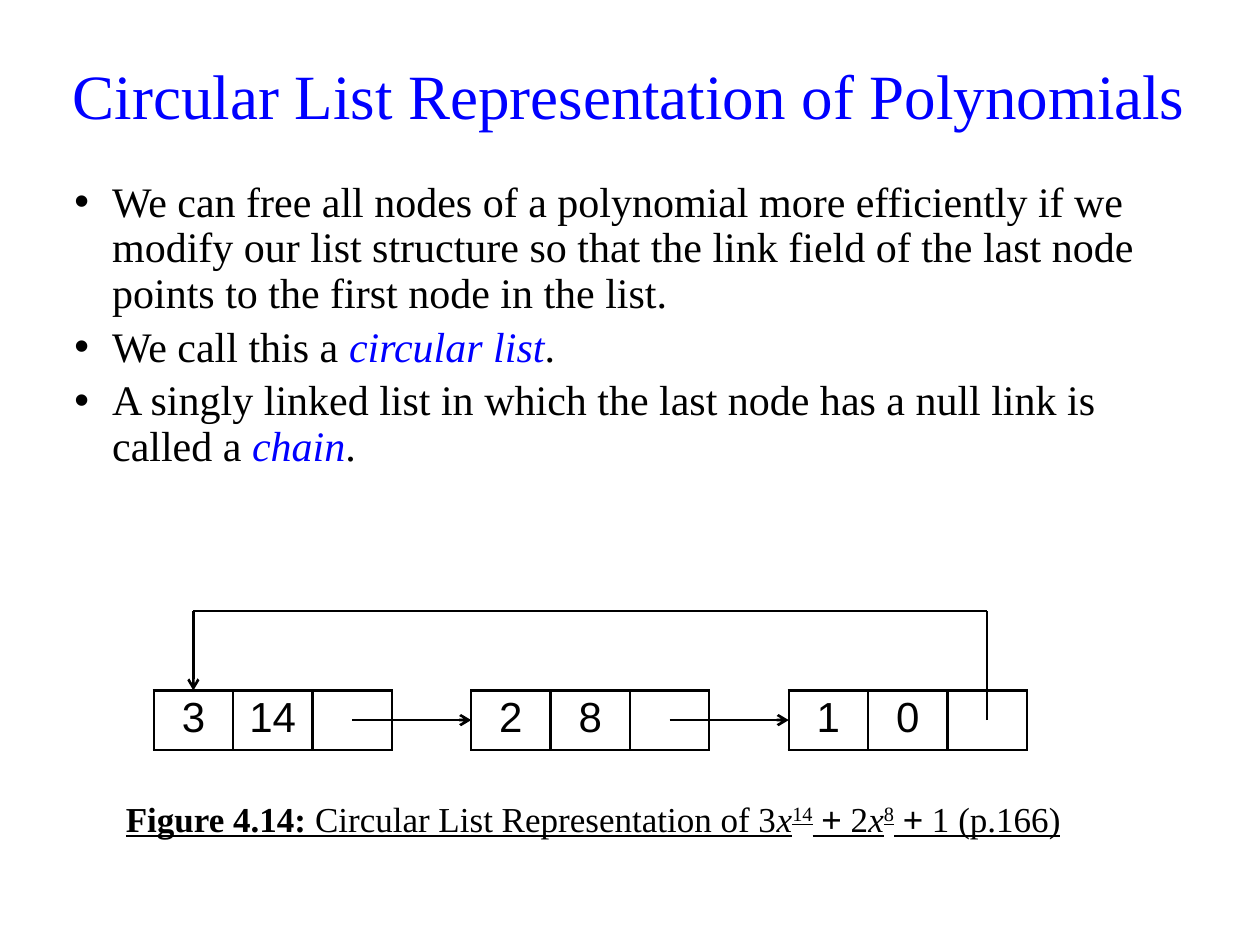
import pptx
import pptx.util
import pptx.dml.color
import pptx.enum.shapes
import pptx.enum.text
import pptx.oxml.ns
from dataclasses import dataclass
from lxml import etree

Inches, Pt = pptx.util.Inches, pptx.util.Pt
qn = pptx.oxml.ns.qn
ALIGN = pptx.enum.text.PP_ALIGN
ANCHOR = pptx.enum.text.MSO_ANCHOR


@dataclass(frozen=True)
class Theme:
    """Hold the colours, fonts and type sizes of the slide."""
    ink: str = "000000"
    accent: str = "0000FF"
    serif: str = "Times New Roman"
    sans: str = "Arial"
    title: int = 36
    body: int = 24
    caption: int = 20
    line: float = 1.5


THEME = Theme()
TITLE = "Circular List Representation of Polynomials"
ACCENT = {"color": THEME.accent, "italic": True}
BULLETS = [
    [("We can free all nodes of a polynomial more efficiently if we modify our "
      "list structure so that the link field of the last node points to the "
      "first node in the list.", {})],
    [("We call this a ", {}), ("circular list", ACCENT), (".", {})],
    [("A singly linked list in which the last node has a null link is called a ", {}),
     ("chain", ACCENT), (".", {})],
]
VARIABLE = ("x", {"italic": True})
PLUS = ("+", {"name": THEME.sans})
CAPTION = [
    ("Figure 4.14:", {"bold": True}), (" Circular List Representation of 3", {}),
    VARIABLE, ("14", {"raised": True}), (" ", {}), PLUS, (" 2", {}),
    VARIABLE, ("8", {"raised": True}), (" ", {}), PLUS, (" 1 (p.166)", {}),
]
TERMS = [(3, 14), (2, 8), (1, 0)]
FIELDS = 3
STEP = FIELDS + 1


def style(font, size, name=THEME.serif, color=THEME.ink, bold=False,
          italic=False, underline=False, raised=False):
    """Format one font."""
    font.size, font.name = Pt(size), name
    font.bold, font.italic, font.underline = bold, italic, underline
    font.color.rgb = pptx.dml.color.RGBColor.from_string(color)
    if raised:
        font._element.set("baseline", "30000")


def add_runs(p, parts, size, **common):
    """Add formatted runs to a paragraph."""
    for text, look in parts:
        r = p.add_run()
        r.text = text
        style(r.font, size, **common, **look)


def add_text_box(s, box):
    """Add a wrapping text box and return its text frame."""
    tf = s.shapes.add_textbox(*map(Inches, box)).text_frame
    tf.word_wrap = True
    return tf


def add_title(s, box):
    """Place and format the title."""
    sp = s.shapes.title
    sp.left, sp.top, sp.width, sp.height = map(Inches, box)
    tf = sp.text_frame
    tf.text = TITLE
    tf.auto_size = pptx.enum.text.MSO_AUTO_SIZE.NONE
    tf.vertical_anchor = ANCHOR.MIDDLE
    p = tf.paragraphs[0]
    p.alignment = ALIGN.CENTER
    style(p.runs[0].font, THEME.title, color=THEME.accent)


def add_bullets(s, box):
    """Add the bulleted statements."""
    tf = add_text_box(s, box)
    tf.margin_left = tf.margin_right = 0
    for i, parts in enumerate(BULLETS):
        p = tf.add_paragraph() if i else tf.paragraphs[0]
        p.line_spacing = 0.9
        p.space_before = Pt(0.2 * THEME.body if i else 0)
        pPr = p._p.get_or_add_pPr()
        pPr.set("marL", str(Inches(0.3)))
        pPr.set("indent", str(-Inches(0.3)))
        etree.SubElement(pPr, qn("a:buFont"), typeface=THEME.sans)
        etree.SubElement(pPr, qn("a:buChar"), char="•")
        add_runs(p, parts, THEME.body)


def add_caption(s, box):
    """Add the underlined figure caption."""
    tf = add_text_box(s, box)
    add_runs(tf.paragraphs[0], CAPTION, THEME.caption, underline=True)


def set_borders(cell, visible):
    """Draw the visible sides of a cell and clear the others."""
    tcPr = cell._tc.get_or_add_tcPr()
    for i, side in enumerate("LRTB"):
        ln = etree.Element(qn(f"a:ln{side}"), w=str(Pt(THEME.line)))
        if side in visible:
            fill = etree.SubElement(ln, qn("a:solidFill"))
            etree.SubElement(fill, qn("a:srgbClr"), val=THEME.ink)
        else:
            etree.SubElement(ln, qn("a:noFill"))
        tcPr.insert(i, ln)


def add_nodes(s, box):
    """Add the row of list nodes, with open cells between them."""
    count = STEP * len(TERMS) - 1
    table = s.shapes.add_table(1, count, *map(Inches, box)).table
    table.first_row = table.horz_banding = False
    for i, cell in enumerate(table.rows[0].cells):
        table.columns[i].width = Inches(box[2] / count)
        node, field = divmod(i, STEP)
        cell.fill.background()
        set_borders(cell, "LRTB" if field < FIELDS else "LR")
        cell.vertical_anchor = ANCHOR.MIDDLE
        cell.margin_top, cell.margin_bottom = 0, Inches(0.04)
        if field < len(TERMS[node]):
            p = cell.text_frame.paragraphs[0]
            p.text = str(TERMS[node][field])
            p.alignment = ALIGN.CENTER
            style(p.runs[0].font, THEME.body, name=THEME.sans)


def add_link(s, start, end, arrow=True):
    """Add a straight link between two points."""
    straight = pptx.enum.shapes.MSO_CONNECTOR.STRAIGHT
    sp = s.shapes.add_connector(straight, *map(Inches, start + end))
    sp.line.color.rgb = pptx.dml.color.RGBColor.from_string(THEME.ink)
    sp.line.width = Pt(THEME.line)
    if arrow:
        etree.SubElement(sp.line._get_or_add_ln(), qn("a:tailEnd"), type="arrow")
    etree.SubElement(sp._element.spPr, qn("a:effectLst"))


def add_circular_list(s, box, rise):
    """Add the nodes, their forward links and the link back to the first."""
    left, top, width, height = box
    add_nodes(s, box)
    cell = width / (STEP * len(TERMS) - 1)
    middle = top + height / 2
    for node in range(len(TERMS) - 1):
        start = left + (node * STEP + FIELDS - 0.5) * cell
        add_link(s, (start, middle), (start + 1.5 * cell, middle))
    first, last = left + cell / 2, left + width - cell / 2
    bend = top - rise
    add_link(s, (last, middle), (last, bend), arrow=False)
    add_link(s, (last, bend), (first, bend), arrow=False)
    add_link(s, (first, bend), (first, top))


def main():
    """Build and save the slide."""
    prs = pptx.Presentation()
    prs.slide_width, prs.slide_height = Inches(10), Inches(7.5)
    s = prs.slides.add_slide(prs.slide_layouts[5])
    add_title(s, (0.43, 0.28, 9.13, 0.94))
    add_bullets(s, (0.59, 1.39, 8.82, 2.36))
    add_caption(s, (0.9, 6.28, 7.72, 0.47))
    add_circular_list(s, (1.22, 5.48, 6.93, 0.47), rise=0.63)
    prs.save("out.pptx")


if __name__ == "__main__":
    main()
